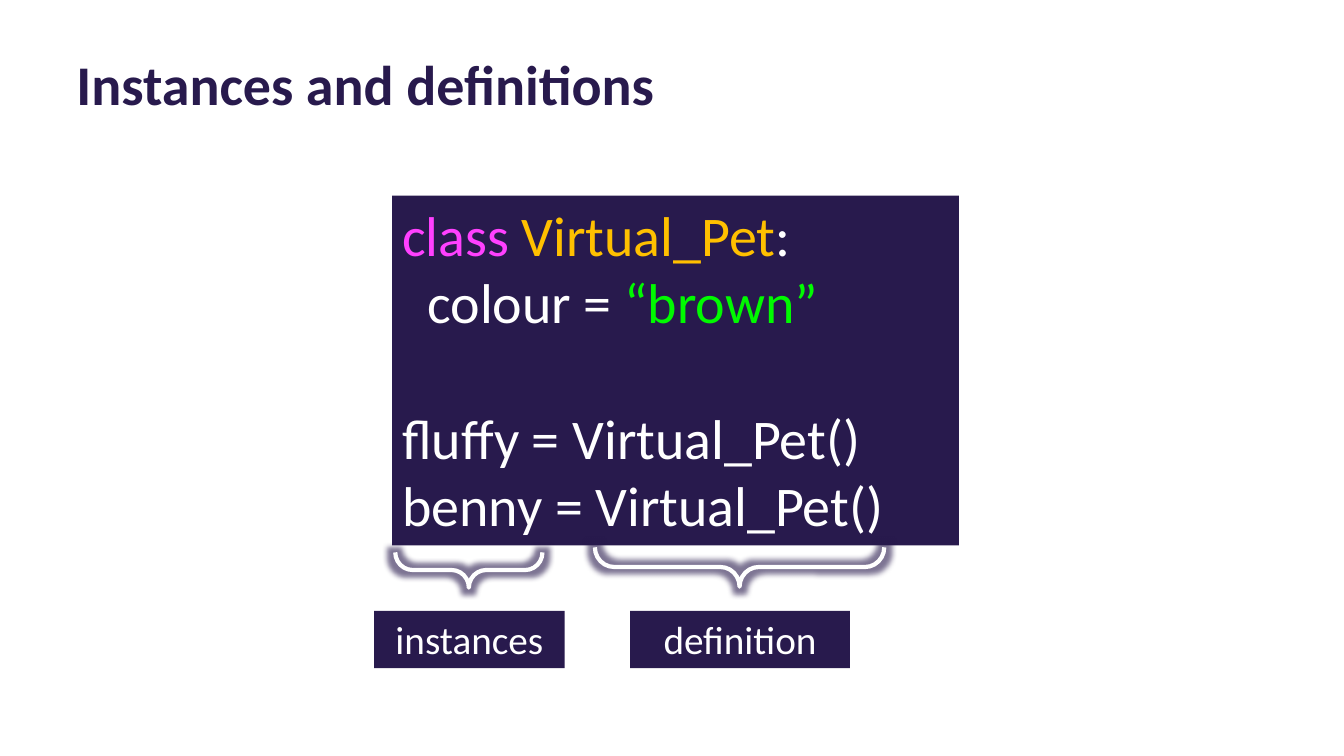
import pptx
import pptx.dml.color
import pptx.enum.shapes
import pptx.enum.text
import pptx.oxml.ns
import pptx.util
from lxml import etree

Inches = pptx.util.Inches
Pt = pptx.util.Pt
RGBColor = pptx.dml.color.RGBColor
MSO_SHAPE = pptx.enum.shapes.MSO_SHAPE
PP_ALIGN = pptx.enum.text.PP_ALIGN
qn = pptx.oxml.ns.qn

NAVY = RGBColor(0x28, 0x1A, 0x4D)
WHITE = RGBColor(0xFF, 0xFF, 0xFF)
PINK = RGBColor(0xFF, 0x40, 0xFF)
GOLD = RGBColor(0xFF, 0xC0, 0x00)
GREEN = RGBColor(0x00, 0xFA, 0x00)

FONT = "Calibri"
CODE_SIZE = 40
LABEL_SIZE = 28

TITLE = "Instances and definitions"
TITLE_BOX = (0.66, 0.44, 6.01, 0.77)
CODE_BOX = (3.89, 1.94, 5.62, 3.47)
CODE_LINES = [
    {"runs": [("class ", PINK), ("Virtual_Pet", GOLD), (":", WHITE)]},
    {"runs": [("colour = ", WHITE), ("“brown”", GREEN)], "indent": 0.25},
    {"runs": [("fluffy = Virtual_Pet()", WHITE)], "gap": 48.8},
    {"runs": [("benny = Virtual_Pet()", WHITE)]},
]
LABELS = [
    {"text": "instances", "box": (3.71, 6.06, 1.89, 0.57),
     "brace": (3.92, 5.48, 1.46, 0.35)},
    {"text": "definition", "box": (6.25, 6.06, 2.18, 0.57),
     "brace": (5.9, 5.43, 2.87, 0.39)},
]


def add_run(paragraph, text, size, color, bold=False):
    run = paragraph.add_run()
    run.text = text
    run.font.name = FONT
    run.font.size = Pt(size)
    run.font.bold = bold
    run.font.color.rgb = color


def add_panel(slide, box):
    shape = slide.shapes.add_shape(MSO_SHAPE.RECTANGLE, *map(Inches, box))
    shape.shadow.inherit = False
    shape.fill.solid()
    shape.fill.fore_color.rgb = NAVY
    shape.line.fill.background()
    shape.text_frame.word_wrap = True
    shape.text_frame.vertical_anchor = pptx.enum.text.MSO_ANCHOR.TOP
    return shape


def add_code(slide):
    frame = add_panel(slide, CODE_BOX).text_frame
    for index, line in enumerate(CODE_LINES):
        paragraph = frame.add_paragraph() if index else frame.paragraphs[0]
        paragraph.alignment = PP_ALIGN.LEFT
        paragraph.space_before = Pt(line.get("gap", 0))
        properties = paragraph._p.get_or_add_pPr()
        properties.set("marL", str(Inches(line.get("indent", 0))))
        for text, color in line["runs"]:
            add_run(paragraph, text, CODE_SIZE, color)


def add_brace(slide, left, top, span, depth):
    offset = (span - depth) / 2
    box = (left + offset, top - offset, depth, span)
    shape = slide.shapes.add_shape(MSO_SHAPE.RIGHT_BRACE, *map(Inches, box))
    shape.rotation = 90
    shape.adjustments[0] = 0.49
    shape.adjustments[1] = 0.5
    shape.fill.background()
    shape.line.color.rgb = WHITE
    shape.line.width = Pt(3)
    shape.shadow.inherit = False
    effects = shape._element.spPr.find(qn("a:effectLst"))
    glow = etree.SubElement(effects, qn("a:glow"), rad=str(Pt(8)))
    color = etree.SubElement(glow, qn("a:srgbClr"), val=str(NAVY))
    etree.SubElement(color, qn("a:alpha"), val="60000")


def add_label(slide, text, box):
    paragraph = add_panel(slide, box).text_frame.paragraphs[0]
    paragraph.alignment = PP_ALIGN.CENTER
    add_run(paragraph, text, LABEL_SIZE, WHITE)


def main():
    presentation = pptx.Presentation()
    presentation.slide_width = Inches(13.33)
    presentation.slide_height = Inches(7.5)
    slide = presentation.slides.add_slide(presentation.slide_layouts[6])

    title = slide.shapes.add_textbox(*map(Inches, TITLE_BOX))
    title.text_frame.word_wrap = False
    add_run(title.text_frame.paragraphs[0], TITLE, CODE_SIZE, NAVY, bold=True)

    add_code(slide)
    for label in LABELS:
        add_label(slide, label["text"], label["box"])
        add_brace(slide, *label["brace"])

    presentation.save("out.pptx")


if __name__ == "__main__":
    main()
